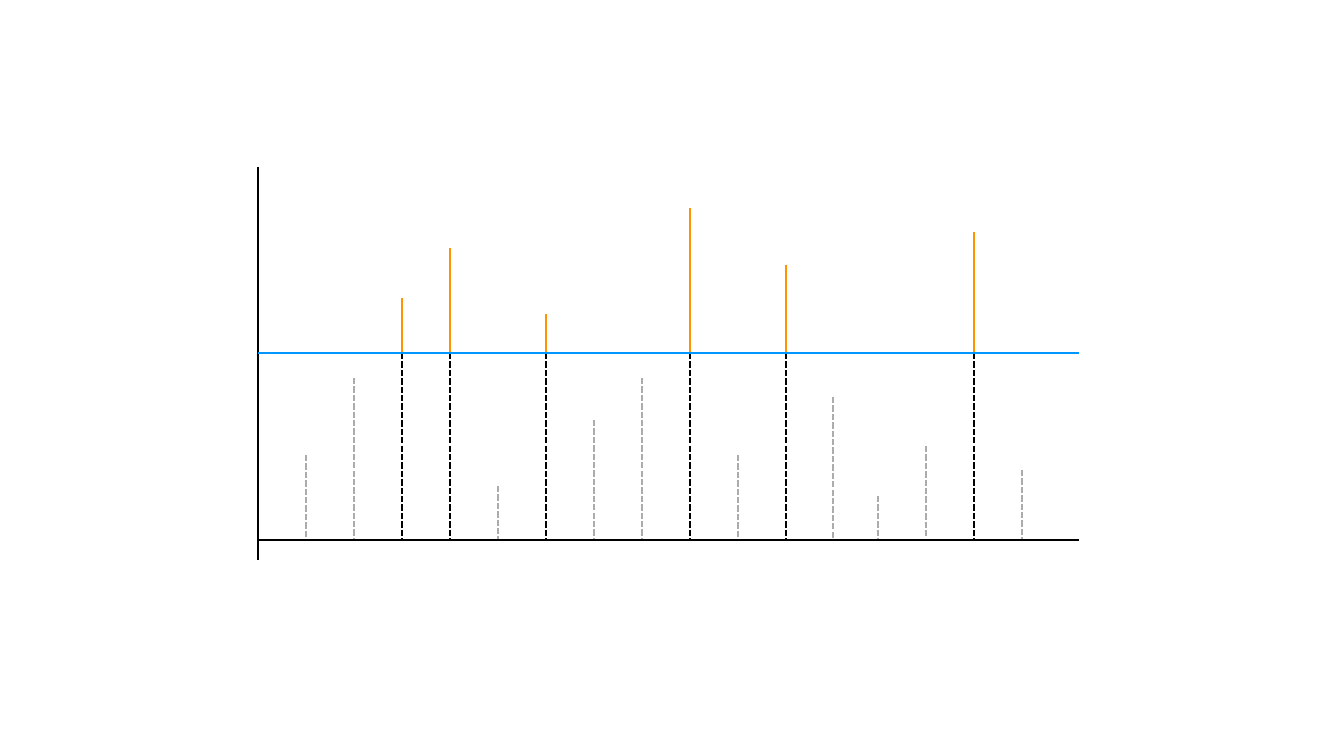
from lxml import etree
from pptx import Presentation
from pptx import util as u
from pptx.dml.color import RGBColor
from pptx.enum import dml, shapes
from pptx.oxml.ns import qn

PX = 914400 / 100.8
BLACK = RGBColor(0x00, 0x00, 0x00)
GRAY = RGBColor(0xAF, 0xAB, 0xAB)
ORANGE = RGBColor(0xFF, 0x93, 0x00)
BLUE = RGBColor(0x00, 0x96, 0xFF)

STEP = 48
LIMIT = 187
# Spike heights above the base line, one a step
SPIKES = [85, 162, 242, 292, 54, 226, 120, 162,
          332, 85, 275, 143, 44, 94, 308, 70]
# Spikes that sit left of their step
SHIFTS = {12: 1, 13: 4, 14: 4, 15: 4, 16: 4}


def px(n):
    return u.Emu(round(n * PX))


def rule(slide, x1, y1, x2, y2, color, dashed=False):
    """Draw one straight line between two points in px."""
    line = slide.shapes.add_connector(
        shapes.MSO_CONNECTOR.STRAIGHT, px(x1), px(y1), px(x2), px(y2))
    line.line.color.rgb = color
    line.line.width = u.Pt(1.5)
    if dashed:
        line.line.dash_style = dml.MSO_LINE.SQUARE_DOT
    etree.SubElement(line._element.spPr, qn("a:effectLst"))


def plot(slide, left, top, width, height):
    """Draw spikes split at a limit line, with both axes."""
    right = left + width
    base = top + height - 20
    limit = base - LIMIT
    rule(slide, left, top, left, top + height, BLACK)

    peaks = []
    for i, size in enumerate(SPIKES, 1):
        x = left + i * STEP - SHIFTS.get(i, 0)
        over = size > LIMIT
        rule(slide, x, base - min(size, LIMIT), x, base,
             BLACK if over else GRAY, dashed=True)
        if over:
            peaks.append((x, base - size))
    for x, y in peaks:
        rule(slide, x, y, x, limit, ORANGE)

    rule(slide, left, limit, right, limit, BLUE)
    rule(slide, left, base, right, base, BLACK)


def main():
    deck = Presentation()
    deck.slide_width, deck.slide_height = px(1344), px(756)
    slide = deck.slides.add_slide(deck.slide_layouts[6])
    plot(slide, 258, 167, 821, 393)
    deck.save("out.pptx")


if __name__ == "__main__":
    main()
